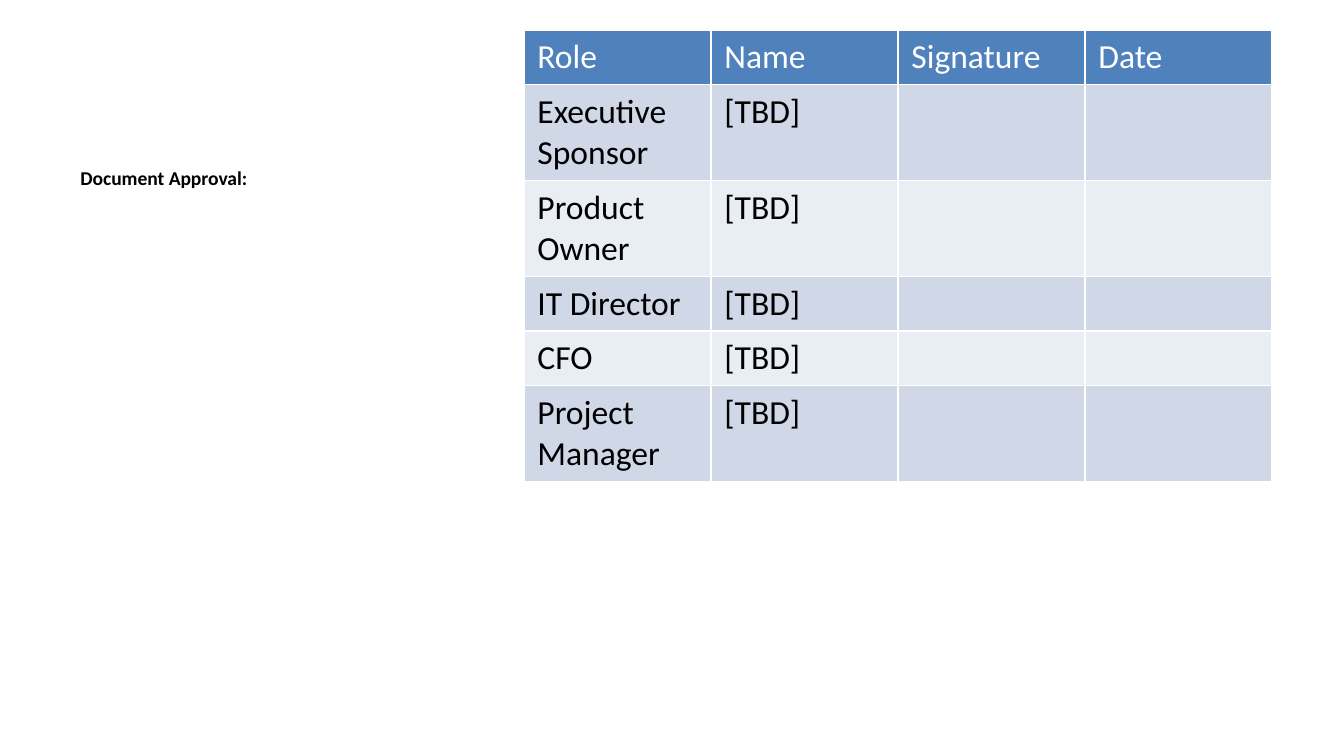
from pptx import Presentation
from pptx import util as u
from pptx.dml.color import RGBColor

SCALE = 914400 / 134.4
HEADINGS = ["Role", "Name", "Signature", "Date"]
ROLES = ["Executive Sponsor", "Product Owner", "IT Director", "CFO", "Project Manager"]
ROW_HEIGHTS = [54, 96, 96, 54, 54, 96]
HEADER_FILL = "4F81BD"
BAND_FILLS = ["E9EDF4", "D0D8E8"]


def px(length):
    """Turn a length in px into EMU."""
    return u.Emu(round(length * SCALE))


def colour(value):
    """Turn a hex string into a colour."""
    return RGBColor.from_string(value)


def write(para, words, ink, **formats):
    """Add one formatted span to a paragraph."""
    span = para.add_run()
    span.text = words
    span.font.color.rgb = colour(ink)
    for name, value in {"name": "Calibri", **formats}.items():
        setattr(span.font, name, value)


def add_caption(page, box):
    """Place the caption in the body placeholder and remove the unused ones."""
    for holder in list(page.placeholders):
        if holder.placeholder_format.idx != 2:
            holder.element.getparent().remove(holder.element)
    caption = page.placeholders[2]
    for name, value in zip(("left", "top", "width", "height"), box):
        setattr(caption, name, px(value))
    write(caption.text_frame.paragraphs[0], "Document Approval:", "000000",
          size=u.Pt(10.5), bold=True)


def add_approval_table(page, box):
    """Place the sign-off table, with equal columns, in its box."""
    rows = [HEADINGS] + [[role, "[TBD]", "", ""] for role in ROLES]
    frame = page.shapes.add_table(len(rows), len(HEADINGS), *map(px, box))
    table = frame.table
    for column in table.columns:
        column.width = px(box[2] / len(HEADINGS))
    for number, (words, height) in enumerate(zip(rows, ROW_HEIGHTS)):
        table.rows[number].height = px(height)
        fill = BAND_FILLS[number % 2] if number else HEADER_FILL
        ink = "000000" if number else "FFFFFF"
        for cell, entry in zip(table.rows[number].cells, words):
            cell.fill.solid()
            cell.fill.fore_color.rgb = colour(fill)
            if entry:
                write(cell.text_frame.paragraphs[0], entry, ink,
                      size=u.Pt(18), bold=False)


def main():
    """Build the document approval page."""
    deck = Presentation()
    deck.slide_width, deck.slide_height = px(1344), px(756)
    page = deck.slides.add_slide(deck.slide_layouts[7])
    add_caption(page, (67, 159, 442, 517))
    add_approval_table(page, (524, 30, 748, sum(ROW_HEIGHTS)))
    deck.save("out.pptx")


if __name__ == "__main__":
    main()
